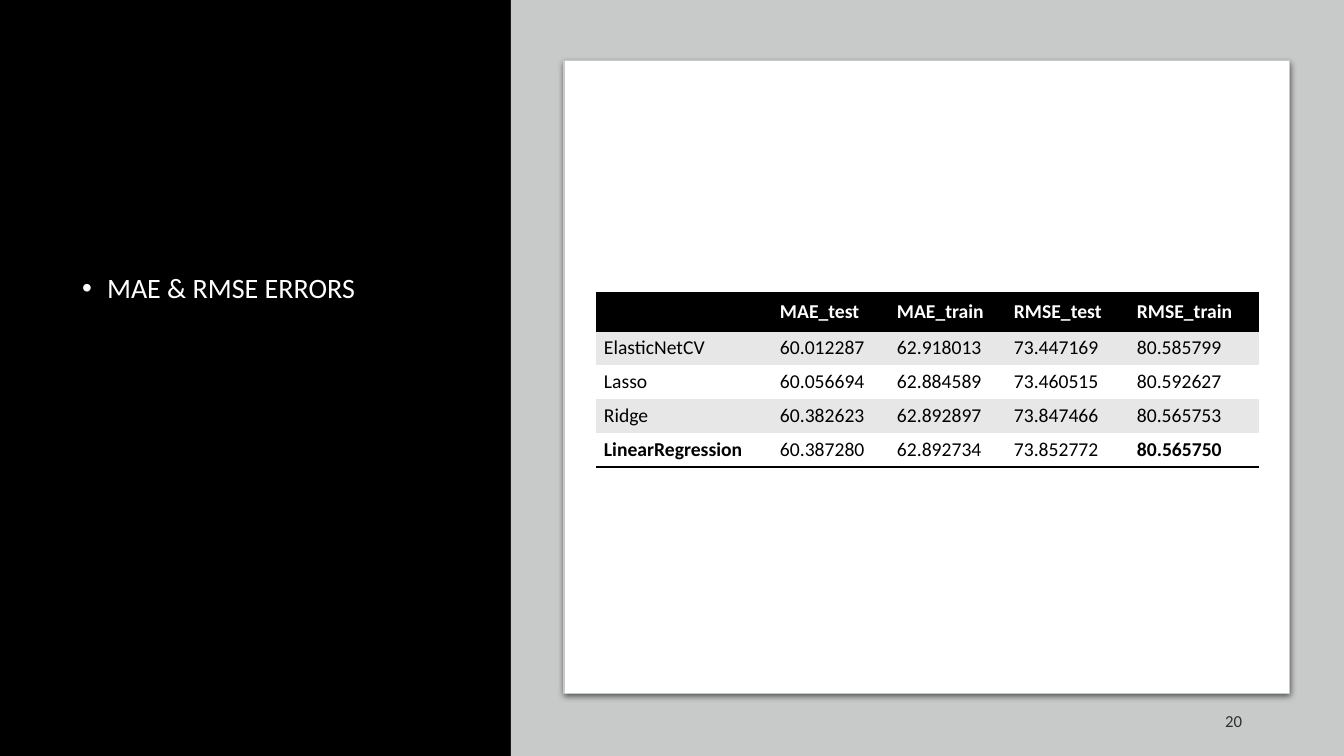
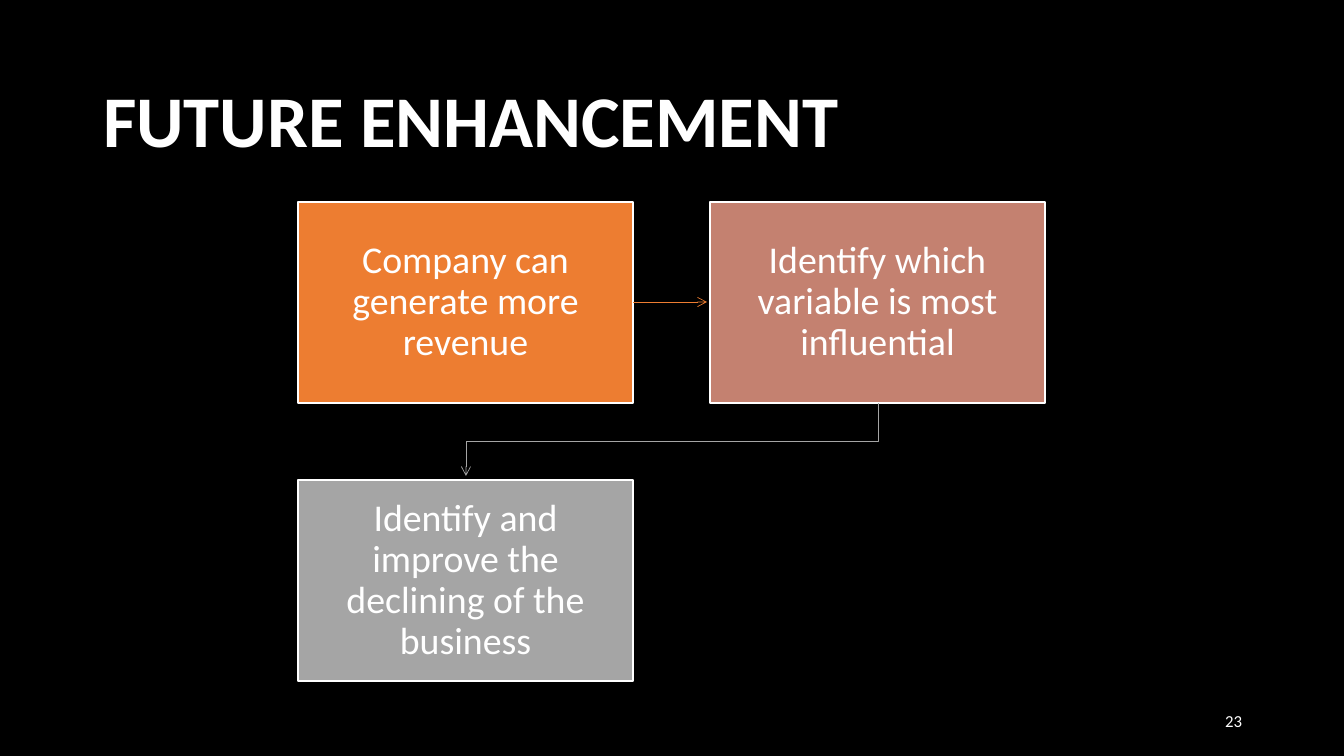
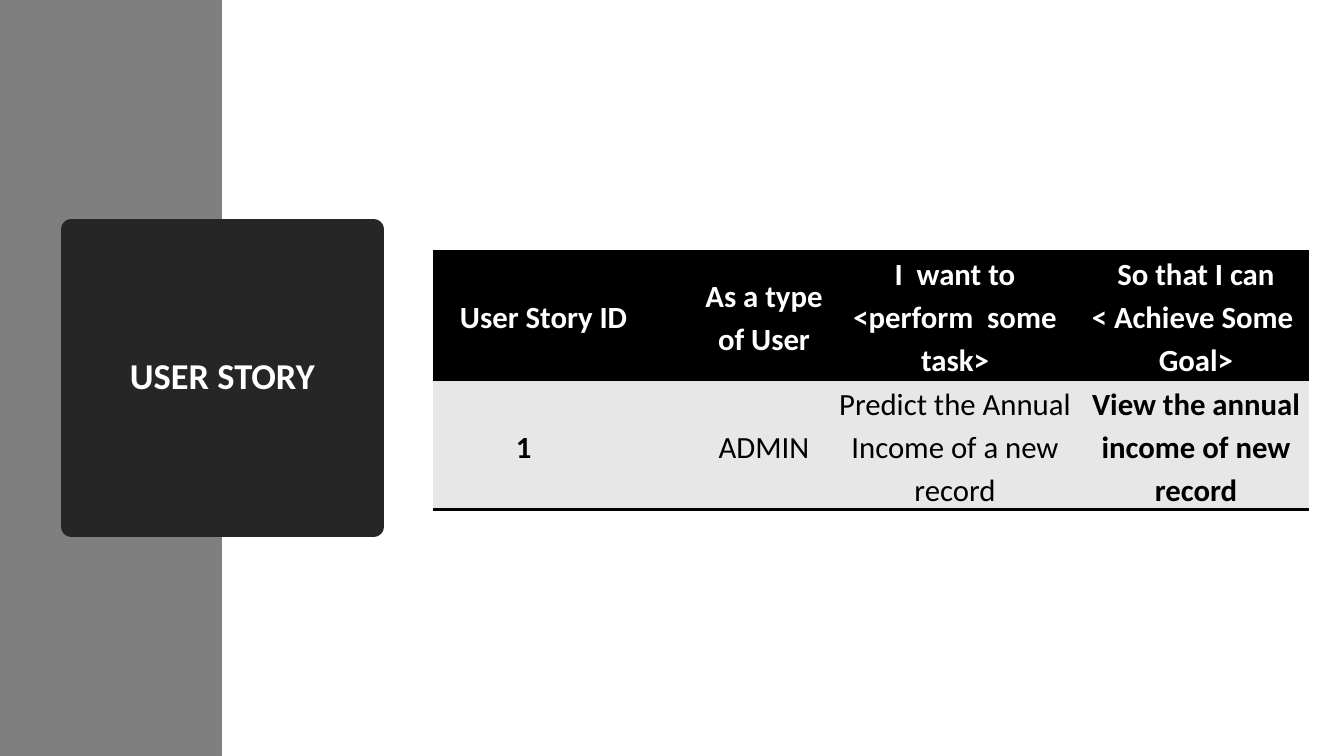
from lxml import etree
from pptx import Presentation
from pptx.dml.color import RGBColor
from pptx.enum.shapes import MSO_CONNECTOR, MSO_SHAPE
from pptx.enum.text import MSO_ANCHOR, MSO_AUTO_SIZE, PP_ALIGN
from pptx.oxml import parse_xml
from pptx.oxml.ns import nsdecls, qn
from pptx.util import Pt

PX = 9072  # EMU in one pixel
FONT = "Calibri"
BLACK, WHITE, STRIPE, SILVER = "000000", "FFFFFF", "E7E7E7", "C8CACA"
NO_STYLE = "{2D5ABB26-0587-4C30-8999-92F81FD0307C}"
LEFT, CENTER, RIGHT = PP_ALIGN.LEFT, PP_ALIGN.CENTER, PP_ALIGN.RIGHT
hex_color = RGBColor.from_string


def write(tf, text, size, color=WHITE, bold=False, align=LEFT, spacing=0.9):
    """Fill a text frame, one paragraph for each line of text."""
    for i, line in enumerate(text.split("\n")):
        p = tf.add_paragraph() if i else tf.paragraphs[0]
        p.alignment, p.line_spacing = align, spacing
        r = p.add_run()
        r.text = line
        r.font.name, r.font.size, r.font.bold = FONT, Pt(size), bold
        r.font.color.rgb = hex_color(color)


def table(s, x, y, widths, row_height, rows, bold_cells, size, spacing, margins):
    """Add a table with a black header, grey stripes and a closing rule."""
    frame = s.shapes.add_table(len(rows), len(widths), x * PX, y * PX,
                               sum(widths) * PX, len(rows) * row_height * PX)
    tbl = frame.table
    tbl._tbl.tblPr.find(qn("a:tableStyleId")).text = NO_STYLE
    for col, width in zip(tbl.columns, widths):
        col.width = width * PX
    for i, row in enumerate(rows):
        tbl.rows[i].height = row_height * PX
        for j, (text, align) in enumerate(row):
            cell = tbl.cell(i, j)
            cell.vertical_anchor = MSO_ANCHOR.MIDDLE
            cell.margin_left = cell.margin_right = margins[0] * PX
            cell.margin_top = cell.margin_bottom = margins[1] * PX
            edges = ["lnT", "lnB"] if i == 0 else ["lnB"] if i == len(rows) - 1 else []
            for edge in edges:
                cell._tc.get_or_add_tcPr().append(parse_xml(
                    f'<a:{edge} {nsdecls("a")} w="25400"><a:solidFill>'
                    f'<a:srgbClr val="{BLACK}"/></a:solidFill></a:{edge}>'))
            cell.fill.solid()
            cell.fill.fore_color.rgb = hex_color(BLACK if i == 0 else STRIPE if i % 2 else WHITE)
            if text:
                write(cell.text_frame, text, size, BLACK if i else WHITE,
                      i == 0 or (i, j) in bold_cells, align, spacing)
    return tbl


prs = Presentation()
prs.slide_width, prs.slide_height = 1344 * PX, 756 * PX
bg = prs.slide_master.background.fill
bg.solid()
bg.fore_color.rgb = hex_color(BLACK)
errors, future, story = [prs.slides.add_slide(prs.slide_layouts[n]) for n in (1, 5, 5)]

# Panels and page numbers
panels = []
for s, x, y, w, h, color in [
    (errors, 511, 0, 833, 756, SILVER),
    (errors, 564, 61, 726, 633, WHITE),
    (story, 0, 0, 1344, 756, WHITE),
    (story, 0, 0, 222, 756, "7F7F7F"),
]:
    sp = s.shapes.add_shape(MSO_SHAPE.RECTANGLE, x * PX, y * PX, w * PX, h * PX)
    sp.shadow.inherit = False
    sp.fill.solid()
    sp.fill.fore_color.rgb = hex_color(color)
    sp.line.fill.background()
    panels.append(sp)

for s, number, color in [(errors, "20", "303030"), (future, "23", WHITE)]:
    tf = s.shapes.add_textbox(950 * PX, 701 * PX, 302 * PX, 40 * PX).text_frame
    tf.word_wrap, tf.vertical_anchor = True, MSO_ANCHOR.MIDDLE
    write(tf, number, 12, color, align=RIGHT, spacing=1.0)

# Titles and the list
errors.shapes.title._element.getparent().remove(errors.shapes.title._element)
body = errors.placeholders[1]
for sp, box, text, size, bold, align, anchor in [
    (body, (72, 269, 386, 414), "MAE & RMSE ERRORS", 20, False, LEFT, MSO_ANCHOR.TOP),
    (future.shapes.title, (93, 61, 1159, 125), "FUTURE ENHANCEMENT", 52, True, LEFT, MSO_ANCHOR.MIDDLE),
    (story.shapes.title, (71, 229, 303, 298), "USER STORY", 26, True, CENTER, MSO_ANCHOR.MIDDLE),
]:
    sp.left, sp.top, sp.width, sp.height = [v * PX for v in box]
    tf = sp.text_frame
    tf.auto_size, tf.vertical_anchor = MSO_AUTO_SIZE.NONE, anchor
    write(tf, text, size, bold=bold, align=align)

# Slide 1: bullet, card shadow and error table
p = body.text_frame.paragraphs[0]
p.space_before = Pt(10)
pPr = p._p.get_or_add_pPr()
pPr.set("marL", str(25 * PX))
pPr.set("indent", str(-25 * PX))
etree.SubElement(pPr, qn("a:buChar")).set("char", "•")

card = panels[1]
card.line.color.rgb = hex_color(SILVER)
card.line.width = Pt(0.75)
card._element.spPr.find(qn("a:effectLst")).append(parse_xml(
    f'<a:outerShdw {nsdecls("a")} blurRad="57150" dist="19050" dir="5400000" algn="ctr">'
    f'<a:srgbClr val="{BLACK}"><a:alpha val="63000"/></a:srgbClr></a:outerShdw>'))

scores = [
    ["", "MAE_test", "MAE_train", "RMSE_test", "RMSE_train"],
    ["ElasticNetCV", "60.012287", "62.918013", "73.447169", "80.585799"],
    ["Lasso", "60.056694", "62.884589", "73.460515", "80.592627"],
    ["Ridge", "60.382623", "62.892897", "73.847466", "80.565753"],
    ["LinearRegression", "60.387280", "62.892734", "73.852772", "80.565750"],
]
table(errors, 596, 293, [176, 117, 117, 123, 130], 34,
      [[(text, LEFT) for text in row] for row in scores],
      {(4, 0), (4, 4)}, 14, 1.0, (8, 4))

# Slide 2: steps on a grid
BOX_W, BOX_H, STEP_X, STEP_Y = 335, 201, 412, 278
for col, row, color, text in [
    (0, 0, "ED7D31", "Company can generate more revenue"),
    (1, 0, "C48170", "Identify which variable is most influential"),
    (0, 1, "A5A5A5", "Identify and improve the declining of the business"),
]:
    sp = future.shapes.add_shape(MSO_SHAPE.RECTANGLE, (298 + col * STEP_X) * PX,
                                 (202 + row * STEP_Y) * PX, BOX_W * PX, BOX_H * PX)
    sp.shadow.inherit = False
    sp.fill.solid()
    sp.fill.fore_color.rgb = hex_color(color)
    sp.line.color.rgb = hex_color(WHITE)
    sp.line.width = Pt(1)
    tf = sp.text_frame
    tf.word_wrap, tf.vertical_anchor = True, MSO_ANCHOR.MIDDLE
    tf.margin_left = tf.margin_right = 16 * PX
    tf.margin_top = tf.margin_bottom = 17 * PX
    write(tf, text, 27, align=CENTER)

# Slide 2: arrows between the steps
across = future.shapes.add_connector(MSO_CONNECTOR.STRAIGHT, 633 * PX, 302 * PX, 707 * PX, 302 * PX)
bend = future.shapes.build_freeform(878, 403, scale=PX)
bend.add_line_segments([(878, 441), (466, 441), (466, 476)], close=False)
down = bend.convert_to_shape()
down.fill.background()
for arrow, color in [(across, "ED7D31"), (down, "A5A5A5")]:
    arrow.line.color.rgb = hex_color(color)
    arrow.line.width = Pt(0.5)
    etree.SubElement(arrow.get_or_add_ln(), qn("a:tailEnd")).set("type", "arrow")
    etree.SubElement(arrow._element.spPr, qn("a:effectLst"))

# Slide 3: title block in front of the band, with rounded outer corners
block = story.shapes.title
block._element.getparent().append(block._element)
block.fill.solid()
block.fill.fore_color.rgb = hex_color("262626")
block.line.color.rgb = hex_color("262626")
block.line.width = Pt(13.75)
etree.SubElement(block.get_or_add_ln(), qn("a:round"))

# Slide 3: user story table
stories = [
    [("User Story ID", LEFT), ("As a type of User", CENTER),
     ("I\u00a0 want to\n<perform\u00a0 some task>", CENTER),
     ("So that I can\n< Achieve Some\u00a0 Goal>", CENTER)],
    [("1", LEFT), ("ADMIN", CENTER),
     ("Predict the Annual Income of a new record", CENTER),
     ("View the annual income of new record", CENTER)],
]
tbl = table(story, 433, 251, [268, 126, 256, 226], 127, stories,
            {(1, 0), (1, 3)}, 22, 1.15, (0, 0))
for i, indent in enumerate([27, 83]):
    tbl.cell(i, 0).margin_left = indent * PX

prs.save("out.pptx")
